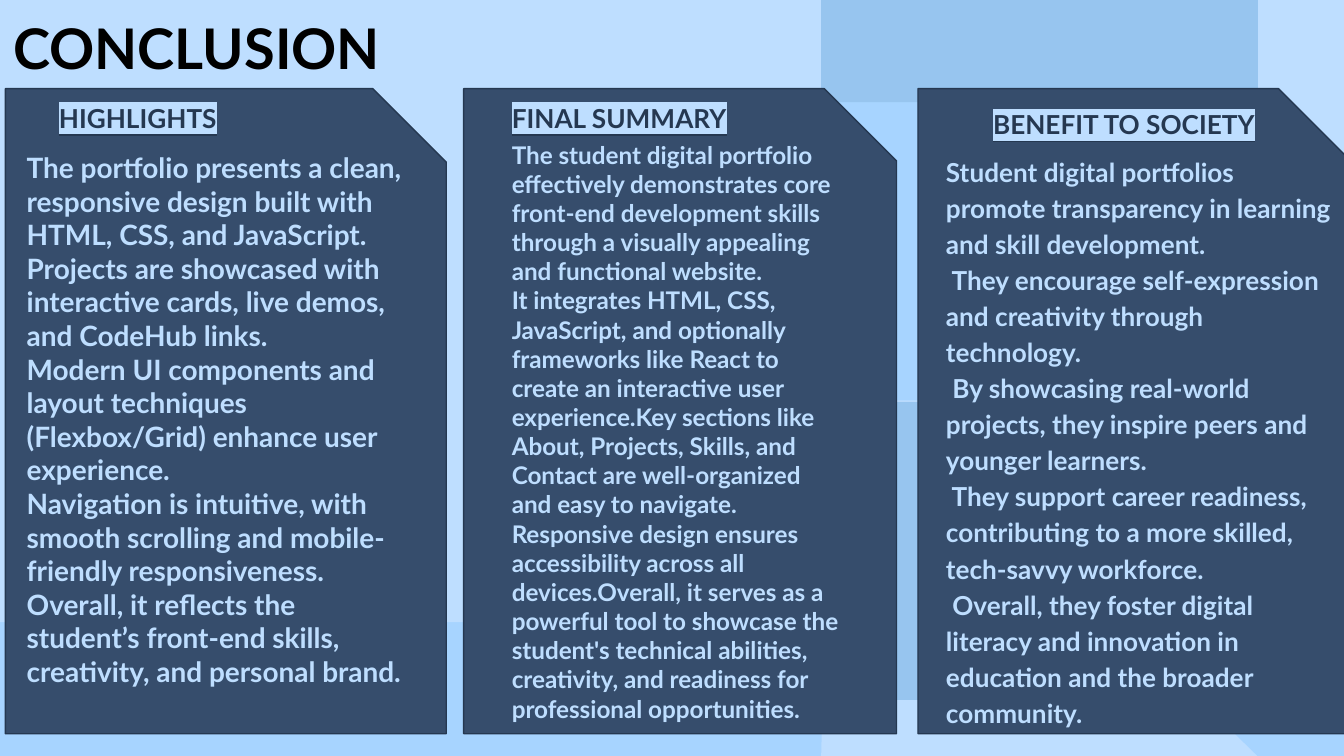
from copy import deepcopy

from lxml.etree import SubElement
from pptx import Presentation
from pptx.dml.color import RGBColor
from pptx.enum.shapes import MSO_SHAPE
from pptx.enum.text import MSO_ANCHOR, MSO_AUTO_SIZE, PP_ALIGN
from pptx.oxml.ns import qn
from pptx.util import Inches, Pt

BLACK = RGBColor(0x00, 0x00, 0x00)
NAVY = RGBColor(0x36, 0x4D, 0x6C)
DARK_NAVY = RGBColor(0x25, 0x38, 0x51)
PALE_BLUE = RGBColor(0xBE, 0xDE, 0xFF)
SKY_BLUE = RGBColor(0xA7, 0xD4, 0xFF)
MID_BLUE = RGBColor(0x97, 0xC5, 0xEF)


def write_text(shape, paragraphs, size, color, highlight=None, underline=None,
               line_spacing=1.0, space_before=0):
    frame = shape.text_frame
    frame.word_wrap = True
    frame.auto_size = MSO_AUTO_SIZE.NONE
    frame.vertical_anchor = MSO_ANCHOR.TOP
    frame.margin_left = frame.margin_right = Inches(0.1)
    frame.margin_top = frame.margin_bottom = Inches(0.1)
    frame.text = "\n".join(paragraphs)
    for paragraph in frame.paragraphs:
        paragraph.alignment = PP_ALIGN.LEFT
        paragraph.line_spacing = line_spacing
        paragraph.space_before = Pt(space_before)
        for run in paragraph.runs:
            font = run.font
            font.name, font.size, font.bold = "Lato", Pt(size), True
            font.underline = underline
            font.color.rgb = color
            properties = run._r.find(qn("a:rPr"))
            if highlight is not None:
                mark = SubElement(properties, qn("a:highlight"))
                SubElement(mark, qn("a:srgbClr"), val=str(highlight))
                properties.find(qn("a:solidFill")).addnext(mark)
        # Line breaks take the size of the text around them
        for line_break in paragraph._p.findall(qn("a:br")):
            line_break.append(deepcopy(properties))


def paint(shape, fill, line=None):
    shape.shadow.inherit = False
    shape.fill.solid()
    shape.fill.fore_color.rgb = fill
    if line is None:
        shape.line.fill.background()
    else:
        shape.line.color.rgb = line
        shape.line.width = Pt(0.75)


# Widescreen slide, 16:9
prs = Presentation()
prs.slide_width = Inches(10)
prs.slide_height = Inches(10 * 9 / 16)
slide = prs.slides.add_slide(prs.slide_layouts[5])
shapes = slide.shapes

# Background panels
slide.background.fill.solid()
slide.background.fill.fore_color.rgb = SKY_BLUE
for left, top, width, height, snip, fill in [
    (0, 0, 10, 4.63, 0, PALE_BLUE),
    (6.12, 2.99, 3.23, 2.22, 0.14, MID_BLUE),
    (6.11, 0.76, 3.23, 2.22, 0.14, SKY_BLUE),
]:
    panel = shapes.add_shape(MSO_SHAPE.SNIP_1_RECTANGLE, Inches(left), Inches(top),
                             Inches(width), Inches(height))
    panel.adjustments[0] = snip
    paint(panel, fill)

for corners, fill in [
    ([(6.11, -0.01), (6.11, 0.76), (9.36, 0.76), (9.36, 0)], MID_BLUE),
    ([(6.11, 5.63), (9.36, 5.63), (8.93, 5.21), (6.12, 5.21)], PALE_BLUE),
]:
    points = [(Inches(x), Inches(y)) for x, y in corners]
    outline = shapes.build_freeform(*points[0])
    outline.add_line_segments(points[1:], close=True)
    paint(outline.convert_to_shape(), fill)

# Title, in front of the background
title = shapes.title
title.left, title.top = Inches(0), Inches(0)
title.width, title.height = Inches(3.28), Inches(0.62)
write_text(title, ["CONCLUSION"], 30, BLACK)
title.element.getparent().append(title.element)

# Each column: card (left, width), heading and its box, body and its box, body format
columns = [
    ((0.04, 3.28), "HIGHLIGHTS", (0.34, 0.66, 1.46, 0.39), [
        "The portfolio presents a clean, responsive design built with HTML, CSS, and JavaScript.",
        "Projects are showcased with interactive cards, live demos, and CodeHub links.",
        "Modern UI components and layout techniques (Flexbox/Grid) enhance user experience.",
        "Navigation is intuitive, with smooth scrolling and mobile-friendly responsiveness.",
        "Overall, it reflects the student’s front-end skills, creativity, and personal brand.",
    ], (0.1, 1.02, 3.02, 3.73), dict(size=15, highlight=NAVY)),
    ((3.45, 3.22), "FINAL SUMMARY", (3.71, 0.66, 2.21, 0.39), [
        "The student digital portfolio effectively demonstrates core front-end development "
        "skills through a visually appealing and functional website.",
        "It integrates HTML, CSS, JavaScript, and optionally frameworks like React to create "
        "an interactive user experience.Key sections like About, Projects, Skills, and "
        "Contact are well-organized and easy to navigate.",
        "Responsive design ensures accessibility across all devices.Overall, it serves as a "
        "powerful tool to showcase the student's technical abilities, creativity, and "
        "readiness for professional opportunities.",
    ], (3.71, 0.94, 2.63, 3.81), dict(size=13)),
    ((6.83, 3.22), "BENEFIT TO SOCIETY", (7.29, 0.71, 2.21, 0.39), ["\v".join([
        "Student digital portfolios promote transparency in learning and skill development.",
        " They encourage self-expression and creativity through technology.",
        " By showcasing real-world projects, they inspire peers and younger learners.",
        " They support career readiness, contributing to a more skilled, tech-savvy workforce.",
        " Overall, they foster digital literacy and innovation in education and the broader "
        "community.",
    ])], (6.94, 1.03, 3.08, 3.92), dict(size=14, line_spacing=1.15, space_before=12)),
]
for (left, width), heading, heading_box, body, body_box, body_format in columns:
    card = shapes.add_shape(MSO_SHAPE.SNIP_1_RECTANGLE, Inches(left), Inches(0.66),
                            Inches(width), Inches(4.8))
    paint(card, NAVY, DARK_NAVY)
    body_text = shapes.add_textbox(*map(Inches, body_box))
    write_text(body_text, body, color=PALE_BLUE, **body_format)
    heading_text = shapes.add_textbox(*map(Inches, heading_box))
    write_text(heading_text, [heading], 14, DARK_NAVY, highlight=PALE_BLUE, underline=True)

prs.save("out.pptx")
